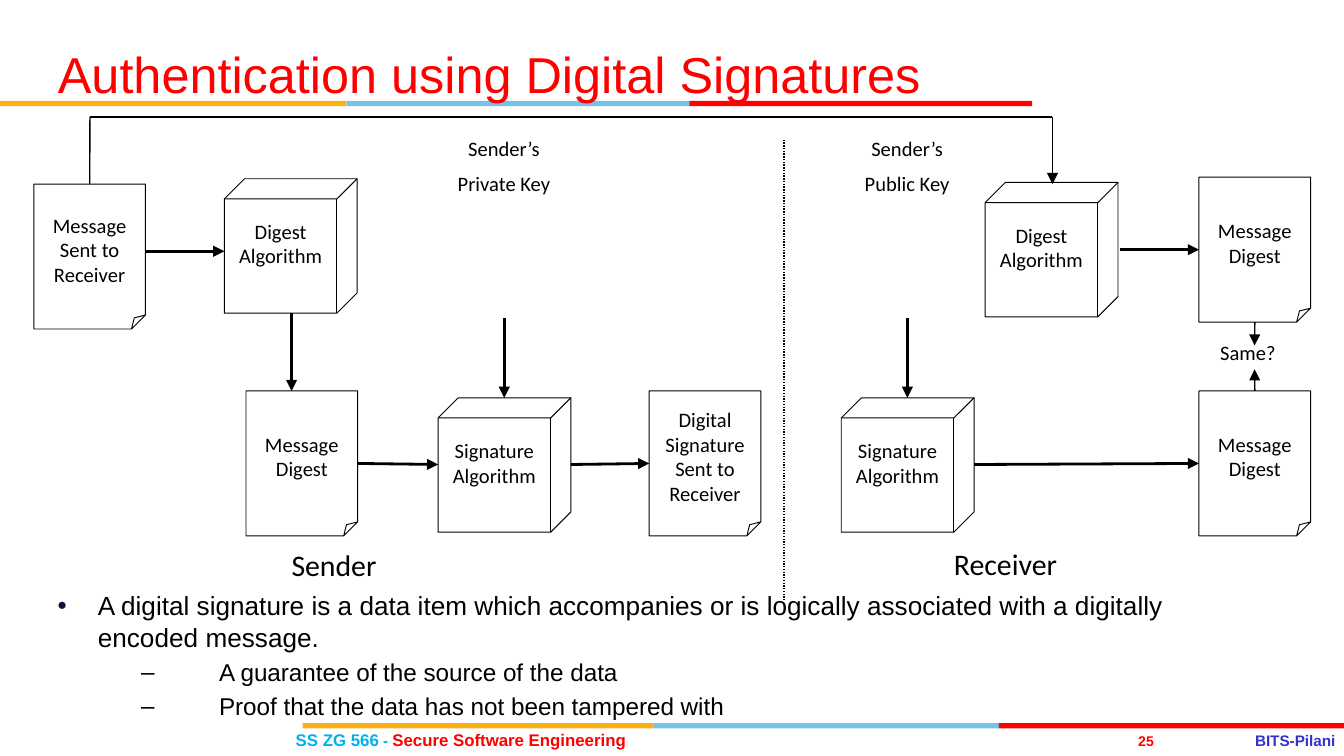
from pptx import Presentation
from pptx.dml.color import RGBColor
from pptx.enum.dml import MSO_LINE
from pptx.enum.shapes import MSO_CONNECTOR, MSO_SHAPE
from pptx.enum.text import MSO_ANCHOR, PP_ALIGN
from pptx.oxml.ns import qn
from pptx.util import Cm, Pt
from lxml.etree import SubElement

BLACK, RED, SKY, AMBER = "000000", "FF0000", "76C2E5", "FCB017"
TOP, LEFT, BOTTOM, RIGHT = range(4)
UPPER_ROW, LOWER_ROW = 4.72, 8.78


def color(value):
    return RGBColor.from_string(value)


def write(frame, lines, size=11, font="Calibri", ink=BLACK, bold=False,
          align=PP_ALIGN.LEFT, anchor=MSO_ANCHOR.TOP, wrap=True, gap=0, inset=None):
    frame.word_wrap = wrap
    frame.vertical_anchor = anchor
    if inset is not None:
        frame.margin_left = frame.margin_right = Cm(inset)
        frame.margin_top = frame.margin_bottom = Cm(inset)
    for index, line in enumerate(lines):
        paragraph = frame.paragraphs[0] if index == 0 else frame.add_paragraph()
        paragraph.alignment = align
        if index and gap:
            paragraph.space_before = Pt(gap)
        pieces = [(line, size, ink)] if isinstance(line, str) else line
        for text, piece_size, piece_ink in pieces:
            run = paragraph.add_run()
            run.text = text
            run.font.size = Pt(piece_size)
            run.font.name = font
            run.font.bold = bold
            run.font.color.rgb = color(piece_ink)


def add_text(slide, left, top, width, height, lines, **style):
    box = slide.shapes.add_textbox(Cm(left), Cm(top), Cm(width), Cm(height))
    write(box.text_frame, lines, **style)
    return box


def add_stripes(slide, left, top, widths):
    for width, fill in zip(widths, (AMBER, SKY, RED)):
        stripe = slide.shapes.add_shape(
            MSO_SHAPE.RECTANGLE, Cm(left), Cm(top), Cm(width), Cm(0.1))
        stripe.shadow.inherit = False
        stripe.fill.solid()
        stripe.fill.fore_color.rgb = color(fill)
        stripe.line.fill.background()
        left += width


def add_node(slide, kind, left, top, width, height, adjustment, lines):
    node = slide.shapes.add_shape(kind, Cm(left), Cm(top), Cm(width), Cm(height))
    geometry = node._element.spPr.find(qn("a:prstGeom"))
    guides = geometry.find(qn("a:avLst"))
    guides.clear()
    SubElement(guides, qn("a:gd"), name="adj", fmla=f"val {adjustment}")
    node.shadow.inherit = False
    node.fill.background()
    node.line.color.rgb = color(BLACK)
    node.line.width = Pt(0.5)
    write(node.text_frame, lines, align=PP_ALIGN.CENTER,
          anchor=MSO_ANCHOR.MIDDLE, wrap=False)
    return node


def add_document(slide, left, top, *lines):
    return add_node(slide, MSO_SHAPE.FOLDED_CORNER, left, top, 2.11, 2.74, 12500, lines)


def add_algorithm(slide, left, top, name):
    cube = add_node(slide, MSO_SHAPE.CUBE, left, top, 2.51, 2.54, 15200,
                    (name, "Algorithm"))
    cube.text_frame.margin_bottom = Cm(0.6)


def add_line(slide, start, end, begin=None, finish=None, width=1.5,
             arrow=True, dash=None):
    line = slide.shapes.add_connector(
        MSO_CONNECTOR.STRAIGHT, Cm(start[0]), Cm(start[1]), Cm(end[0]), Cm(end[1]))
    if begin:
        line.begin_connect(*begin)
    if finish:
        line.end_connect(*finish)
    line.line.color.rgb = color(BLACK)
    line.line.width = Pt(width)
    if dash:
        line.line.dash_style = dash
    if arrow:
        SubElement(line.line._get_or_add_ln(), qn("a:tailEnd"), type="triangle")
    SubElement(line._element.spPr, qn("a:effectLst"))


def add_title(slide, text):
    title = slide.shapes.title
    title.left, title.top, title.width, title.height = Cm(0.84), Cm(0.46), Cm(17.78), Cm(2.06)
    write(title.text_frame, [text], size=27, font="Arial", ink=RED,
          anchor=MSO_ANCHOR.MIDDLE)
    title.text_frame.paragraphs[0].line_spacing = Pt(27)
    slide.shapes._spTree.append(title._element)


def set_bullet(paragraph, symbol, margin, hanging, ink):
    properties = paragraph._p.get_or_add_pPr()
    properties.set("marL", str(Cm(margin)))
    properties.set("indent", str(-Cm(hanging)))
    bullet_color = SubElement(properties, qn("a:buClr"))
    SubElement(bullet_color, qn("a:srgbClr"), val=ink)
    SubElement(properties, qn("a:buFont"), typeface="Arial")
    SubElement(properties, qn("a:buChar"), char=symbol)


def add_bullets(slide):
    lines = [
        [("A digital signature is a data item which accompanies or is logically "
          "associated with a digitally encoded message.", 14, BLACK)],
        [("A guarantee of the source of the data", 13, BLACK)],
        [("Proof that the data has not been tampered with", 13, BLACK)],
    ]
    box = add_text(slide, 0.84, 11.02, 22.86, 2.84, lines, font="Arial", gap=2.6)
    main_point, *details = box.text_frame.paragraphs
    set_bullet(main_point, "•", 0.76, 0.76, "101141")
    for detail in details:
        set_bullet(detail, "–", 3.05, 1.47, BLACK)


def add_footer(slide):
    add_stripes(slide, 5.72, 13.67, (6.63, 6.53, 6.53))
    style = dict(font="Arial", bold=True, anchor=MSO_ANCHOR.MIDDLE, inset=0)
    course = [("SS ZG 566", 9, "00B0F0"), (" - ", 8.2, "00B0F0"),
              ("Secure Software Engineering", 9, RED)]
    add_text(slide, 5.59, 13.79, 7.01, 0.38, [course], **style)
    add_text(slide, 21.34, 13.84, 0.64, 0.33, ["25"], size=7.5, ink=RED,
             align=PP_ALIGN.CENTER, **style)
    add_text(slide, 23.72, 13.82, 1.63, 0.36, ["BITS-Pilani"], size=8.2,
             ink="3333CC", wrap=False, **style)


def add_sender(slide):
    message = add_document(slide, 0.64, 3.48, "Message", "Sent to", "Receiver")
    digest = add_document(slide, 4.65, 7.39, "Message", "Digest")
    signature = add_document(slide, 12.27, 7.39, "Digital", "Signature", "Sent to", "Receiver")
    add_algorithm(slide, 4.24, 3.38, "Digest")
    add_algorithm(slide, 8.28, 7.52, "Signature")
    add_line(slide, (2.75, 4.75), (4.24, 4.75))
    add_line(slide, (5.51, 5.92), (5.51, 7.39))
    add_line(slide, (6.76, LOWER_ROW), (8.28, LOWER_ROW), begin=(digest, RIGHT))
    add_line(slide, (10.79, LOWER_ROW), (12.27, LOWER_ROW), finish=(signature, LEFT))
    add_line(slide, (1.7, 2.21), (1.7, 3.48), finish=(message, TOP), width=0.75, arrow=False)
    add_line(slide, (1.7, 2.21), (19.89, 2.21), width=0.75, arrow=False)
    add_line(slide, (19.89, 2.21), (19.89, 3.48), width=0.75)
    add_text(slide, 5.26, 10.21, 2.13, 0.94, ["Sender"], size=16, wrap=False)


def add_receiver(slide):
    computed = add_document(slide, 22.66, 3.35, "Message", "Digest")
    recovered = add_document(slide, 22.66, 7.39, "Message", "Digest")
    add_algorithm(slide, 18.62, 3.45, "Digest")
    add_algorithm(slide, 15.9, 7.52, "Signature")
    add_line(slide, (21.16, UPPER_ROW), (22.66, UPPER_ROW), finish=(computed, LEFT))
    add_line(slide, (18.41, LOWER_ROW), (22.66, LOWER_ROW), finish=(recovered, LEFT))
    add_line(slide, (23.71, 6.09), (23.71, 6.53), begin=(computed, BOTTOM), width=0.75)
    add_line(slide, (23.71, 7.39), (23.71, 6.98), begin=(recovered, TOP), width=0.75)
    add_text(slide, 22.81, 6.3, 1.57, 0.74, ["Same?"], wrap=False)
    add_text(slide, 17.78, 10.19, 2.49, 0.94, ["Receiver"], size=16, wrap=False)


def add_key(slide, center, name):
    add_text(slide, center - 1.49, 2.44, 2.97, 1.42, ["Sender’s", name],
             align=PP_ALIGN.CENTER, gap=5.5)
    add_line(slide, (center, 6.02), (center, 7.52))


def main():
    presentation = Presentation()
    presentation.slide_width, presentation.slide_height = Cm(25.4), Cm(14.29)
    slide = presentation.slides.add_slide(presentation.slide_layouts[5])
    add_stripes(slide, 0, 1.91, (6.55, 6.48, 6.48))
    add_footer(slide)
    add_bullets(slide)
    add_title(slide, "Authentication using Digital Signatures")
    add_sender(slide)
    add_receiver(slide)
    add_key(slide, 9.53, "Private Key")
    add_key(slide, 17.15, "Public Key")
    add_line(slide, (14.82, 2.64), (14.82, 11.33), width=0.75, arrow=False,
             dash=MSO_LINE.ROUND_DOT)
    presentation.save("out.pptx")


if __name__ == "__main__":
    main()
